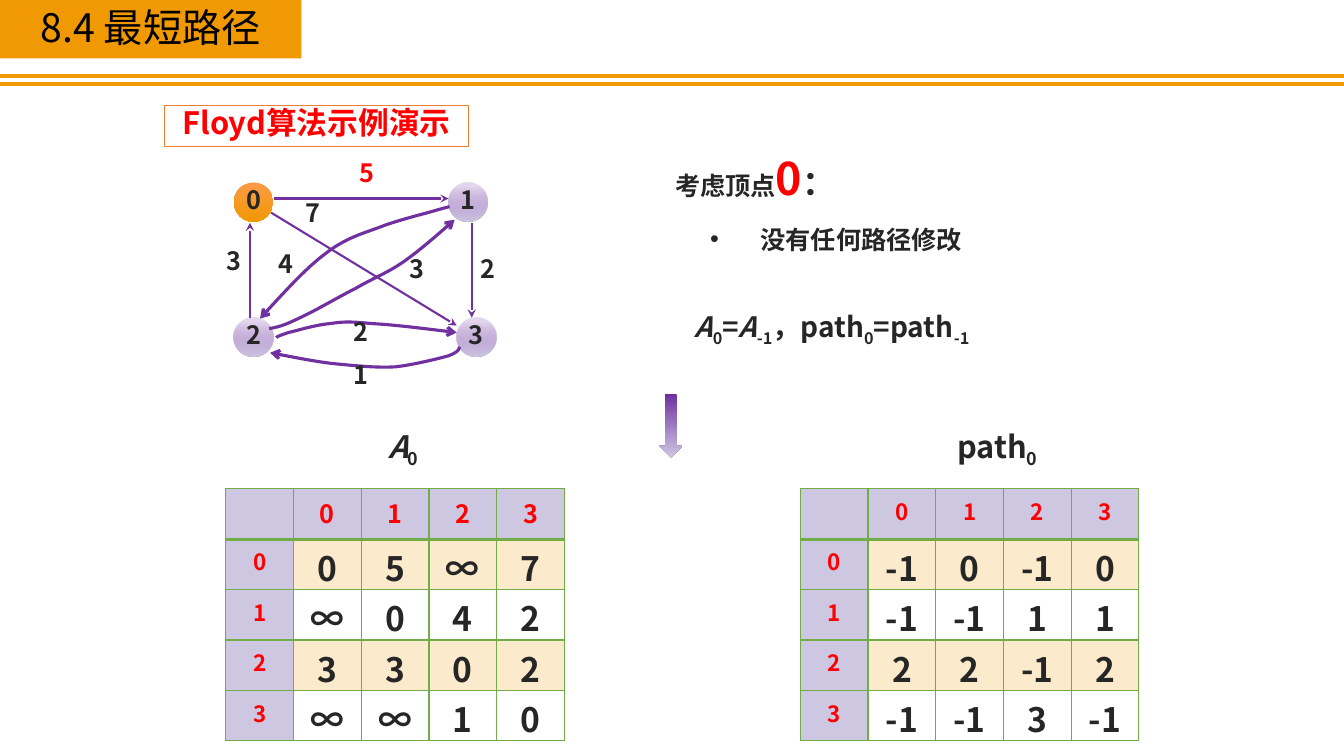
from lxml import etree
from pptx import Presentation
from pptx.dml.color import RGBColor
from pptx.enum.shapes import MSO_CONNECTOR, MSO_SHAPE
from pptx.enum.text import MSO_ANCHOR, MSO_AUTO_SIZE, PP_ALIGN
from pptx.oxml.ns import qn
from pptx.util import Inches, Pt

ORANGE = RGBColor(0xF1, 0x99, 0x03)
LIGHT_ORANGE = RGBColor(0xFC, 0x9A, 0x48)
PURPLE = RGBColor(0x70, 0x30, 0xA0)
LILAC = RGBColor(0xCD, 0xC7, 0xE2)
GREEN = RGBColor(0x70, 0xAD, 0x47)
RUST = RGBColor(0xED, 0x7D, 0x31)
RED = RGBColor(0xFF, 0x00, 0x00)
INK = RGBColor(0x26, 0x26, 0x26)
BLACK = RGBColor(0x00, 0x00, 0x00)
FONT = "Noto Sans CJK SC"
STRAIGHT = MSO_CONNECTOR.STRAIGHT
OVAL, RECTANGLE, DOWN_ARROW = MSO_SHAPE.OVAL, MSO_SHAPE.RECTANGLE, MSO_SHAPE.DOWN_ARROW
TOP, MIDDLE = MSO_ANCHOR.TOP, MSO_ANCHOR.MIDDLE
GROW, FIXED = MSO_AUTO_SIZE.SHAPE_TO_FIT_TEXT, MSO_AUTO_SIZE.NONE
CENTER = PP_ALIGN.CENTER
GRID = Inches(0.1)
COLUMNS, ROWS = 133.33, 75


def write(frame, pieces, bold=True):
    paragraph = frame.paragraphs[0]
    paragraph.alignment = CENTER
    paragraph.line_spacing = 0.8
    paragraph.space_before = Pt(0)
    for text, size, color, style in pieces:
        run = paragraph.add_run()
        run.text = text
        run.font.size = Pt(size)
        run.font.bold = bold
        run.font.italic = style == "italic"
        run.font.color.rgb = color
        run.font.name = FONT
        properties = run._r.get_or_add_rPr()
        etree.SubElement(properties, qn("a:ea"), typeface=FONT)
        if style == "sub":
            properties.set("baseline", "-25000")


def stroke(edge, color, width, head=None):
    edge.line.color.rgb = color
    edge.line.width = Pt(width)
    if head:
        etree.SubElement(edge.line._get_or_add_ln(), qn("a:tailEnd"), type=head)
    if edge._element.spPr.find(qn("a:effectLst")) is None:
        etree.SubElement(edge._element.spPr, qn("a:effectLst"))


presentation = Presentation()
presentation.slide_width = int(COLUMNS * GRID)
presentation.slide_height = ROWS * GRID
slide = presentation.slides.add_slide(presentation.slide_layouts[1])
shapes = slide.shapes

for row in (7.55, 8.35):
    rule = shapes.add_connector(STRAIGHT, 0, int(row * GRID), presentation.slide_width, int(row * GRID))
    stroke(rule, ORANGE, 3)

chapter = shapes.title
chapter.left, chapter.top = 0, 0
chapter.width, chapter.height = int(29.9 * GRID), int(5.8 * GRID)
chapter.fill.solid()
chapter.fill.fore_color.rgb = ORANGE
heading = chapter.text_frame
heading.margin_left = heading.margin_right = Inches(0.06)
heading.margin_top = Inches(0.12)
heading.margin_bottom = 0
heading.word_wrap = True
heading.auto_size = FIXED
heading.vertical_anchor = TOP
write(heading, [("8.4 最短路径", 28, BLACK, None)], bold=False)

vertices = [("0", 23.2, 18.1), ("1", 44.5, 18.1), ("2", 23.2, 31.5), ("3", 45.3, 31.5)]
gradients = []
for name, left, top in vertices:
    vertex = shapes.add_shape(OVAL, *[int(v * GRID) for v in (left, top, 3.9, 3.9)])
    vertex.line.fill.background()
    vertex.text_frame.word_wrap = False
    vertex.text_frame.vertical_anchor = MIDDLE
    write(vertex.text_frame, [(name, 18, INK, None)])
    if name == "0":
        gradients.append((vertex, (0, LIGHT_ORANGE), (1, ORANGE), None))
    else:
        gradients.append((vertex, (0.12, PURPLE), (0.99, LILAC), "20000"))

step = shapes.add_shape(DOWN_ARROW, *[int(v * GRID) for v in (65.4, 39.1, 2.3, 6.3)])
step.line.fill.background()
gradients.append((step, (0, PURPLE), (1, LILAC), None))

for shape, first, last, alpha in gradients:
    shape.shadow.inherit = False
    shape.fill.gradient()
    shape.fill.gradient_angle = 270
    for stop, (position, color) in zip(shape.fill.gradient_stops, (first, last)):
        stop.position = position
        stop.color.rgb = color
    if alpha:
        start_color = next(shape._element.spPr.iter(qn("a:srgbClr")))
        etree.SubElement(start_color, qn("a:alpha"), val=alpha)

straight_edges = [
    (27.2, 19.7, 44.5, 19.7), (24.8, 31.5, 24.8, 22.1),
    (26.9, 21.1, 45.3, 32.3), (46.8, 22.1, 46.8, 31.5),
]
for ends in straight_edges:
    stroke(shapes.add_connector(STRAIGHT, *[int(v * GRID) for v in ends]), PURPLE, 1.5, "stealth")

curved_edges = [
    [(45.6, 34.4), (45.5, 34.7), (45.5, 34.9), (44.5, 35.3), (43.4, 35.6), (41, 36.2), (39.2, 36.4),
     (37.3, 36.5), (35.4, 36.3), (33.3, 36.1), (31.3, 35.9), (29, 35.4), (26.8, 35)],
    [(27.4, 33.5), (27.5, 33.4), (27.7, 33.3), (28.6, 33), (29.5, 32.8), (31.4, 32.2), (32.8, 32.1),
     (34.2, 31.9), (34.7, 31.9), (36.8, 32.1), (38.9, 32.2), (42.1, 32.6), (45.3, 33)],
    [(44.6, 20.5), (44.2, 20.6), (43.8, 20.7), (42.8, 21), (41.7, 21.3), (40.1, 21.7), (38.3, 22.3),
     (36.6, 23), (34.6, 23.4), (32.5, 25), (30.4, 26.5), (28.1, 29.1), (25.8, 31.6)],
    [(26.7, 32.6), (27.4, 32.5), (28.2, 32.3), (29.6, 31.6), (31, 31), (33.5, 29.5), (35.3, 28.6),
     (37, 27.6), (38.4, 27.1), (40, 26), (41.7, 24.8), (43.4, 23.3), (45.1, 21.8)],
]
SAMPLES = 8
for controls in curved_edges:
    points = []
    for first in range(0, len(controls) - 1, 3):
        for sample in range(1, SAMPLES + 1):
            t = sample / SAMPLES
            weights = ((1 - t) ** 3, 3 * t * (1 - t) ** 2, 3 * t * t * (1 - t), t ** 3)
            bend = controls[first:first + 4]
            points.append(tuple(int(GRID * sum(w * p[axis] for w, p in zip(weights, bend))) for axis in (0, 1)))
    outline = shapes.build_freeform(*[int(v * GRID) for v in controls[0]])
    outline.add_line_segments(points, close=False)
    edge = outline.convert_to_shape()
    edge.shadow.inherit = False
    edge.fill.background()
    stroke(edge, PURPLE, 2.25, "arrow")

weights_on_edges = [
    ("5", 34.1, 15.7, RED), ("3", 20.9, 24.4, INK), ("2", 46.1, 25.2, INK), ("7", 28.7, 19.7, INK),
    ("3", 39, 25.2, INK), ("1", 33.5, 35.7, INK), ("2", 33.5, 31.5, INK), ("4", 26, 24.7, INK),
]
labels = [((left, top, 4.7, 3.4), [(text, 18, color, None)]) for text, left, top, color in weights_on_edges]
labels += [
    ((36.5, 42.3, 7, 4), [("A", 22, INK, "italic"), ("0", 22, INK, "sub")]),
    ((93.5, 42.3, 10.9, 4), [("path", 22, INK, None), ("0", 22, INK, "sub")]),
    ((64.6, 30.6, 35.9, 3.7), [
        ("A", 20, INK, "italic"), ("0", 20, INK, "sub"), ("=", 20, INK, None),
        ("A", 20, INK, "italic"), ("-1", 20, INK, "sub"), ("，path", 20, INK, None),
        ("0", 20, INK, "sub"), ("=path", 20, INK, None), ("-1", 20, INK, "sub")]),
]
for place, pieces in labels:
    label = shapes.add_textbox(*[int(v * GRID) for v in place]).text_frame
    label.word_wrap = True
    label.auto_size = GROW
    write(label, pieces)

considered = shapes.add_textbox(*[int(v * GRID) for v in (63.8, 16, 22.3, 4.3)]).text_frame
considered.margin_left = considered.margin_right = considered.margin_top = considered.margin_bottom = 0
considered.word_wrap = True
considered.auto_size = GROW
write(considered, [("考虑顶点", 18, INK, None), ("0", 32, RED, None), ("：", 24, INK, None)])

finding = slide.placeholders[1]
finding.left, finding.top, finding.width, finding.height = [int(v * GRID) for v in (67.7, 22.3, 30.5, 3.4)]
finding.text_frame.word_wrap = True
finding.text_frame.auto_size = GROW
indent = finding.text_frame.paragraphs[0]._p.get_or_add_pPr()
indent.set("marL", str(5 * GRID))
indent.set("indent", str(-5 * GRID))
etree.SubElement(indent, qn("a:buFont"), typeface="Arial")
etree.SubElement(indent, qn("a:buChar"), char="•")
write(finding.text_frame, [("没有任何路径修改", 18, INK, None)])

demo = shapes.add_shape(RECTANGLE, *[int(v * GRID) for v in (16.3, 10.5, 30.2, 4)])
demo.shadow.inherit = False
demo.fill.background()
stroke(demo, RUST, 0.5)
demo.text_frame.word_wrap = True
demo.text_frame.auto_size = GROW
demo.text_frame.vertical_anchor = TOP
write(demo.text_frame, [("Floyd算法示例演示", 22, RED, None)])

distances = [["", "0", "1", "2", "3"], ["0", "0", "5", "∞", "7"], ["1", "∞", "0", "4", "2"],
             ["2", "3", "3", "0", "2"], ["3", "∞", "∞", "1", "0"]]
paths = [["", "0", "1", "2", "3"], ["0", "-1", "0", "-1", "0"], ["1", "-1", "-1", "1", "1"],
         ["2", "2", "2", "-1", "2"], ["3", "-1", "-1", "3", "-1"]]
for matrix, left, header_size in ((distances, 22.4, 18), (paths, 79.4, 16)):
    size = len(matrix)
    table = shapes.add_table(size, size, *[int(v * GRID) for v in (left, 48.5, 33.6, 25)]).table
    table.horz_banding = False
    table.first_row = False
    for r, values in enumerate(matrix):
        for c, value in enumerate(values):
            cell = table.cell(r, c)
            cell.margin_top, cell.margin_bottom = Inches(0.11), 0
            is_header = r == 0 or c == 0
            if is_header or r % 2:
                cell.fill.solid()
                cell.fill.fore_color.rgb = LILAC if is_header else ORANGE
            else:
                cell.fill.background()
            properties = cell._tc.get_or_add_tcPr()
            if r % 2 and not is_header:
                etree.SubElement(next(properties.iter(qn("a:srgbClr"))), qn("a:alpha"), val="20000")
            for order, side in enumerate(("L", "R", "T", "B")):
                thick = (r == 0 and side == "B") or (r == 1 and side == "T")
                border = etree.Element(qn("a:ln" + side), w=str(Pt(2 if thick else 1)))
                paint = etree.SubElement(border, qn("a:solidFill"))
                etree.SubElement(paint, qn("a:srgbClr"), val=str(GREEN))
                properties.insert(order, border)
            if value:
                points = header_size if r == 0 else 16 if c == 0 else 24
                write(cell.text_frame, [(value, points, RED if is_header else INK, None)])

presentation.save("out.pptx")
